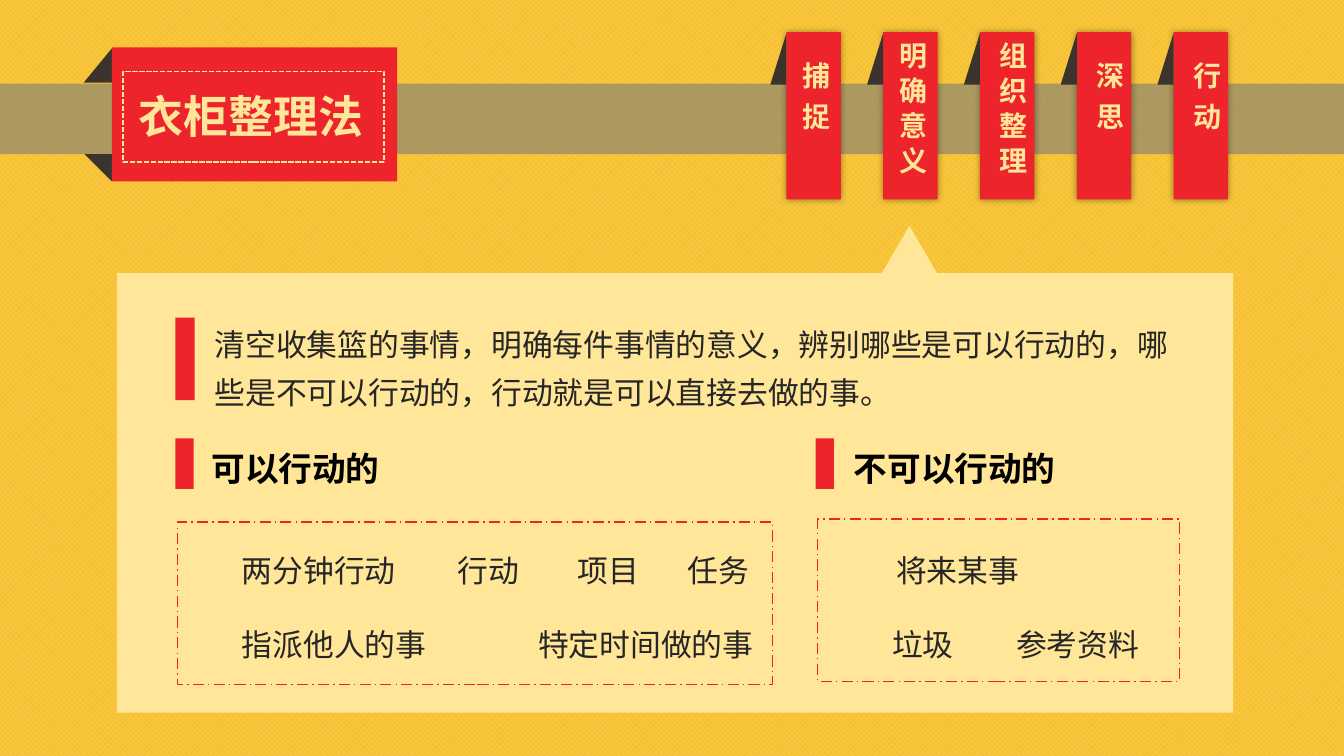
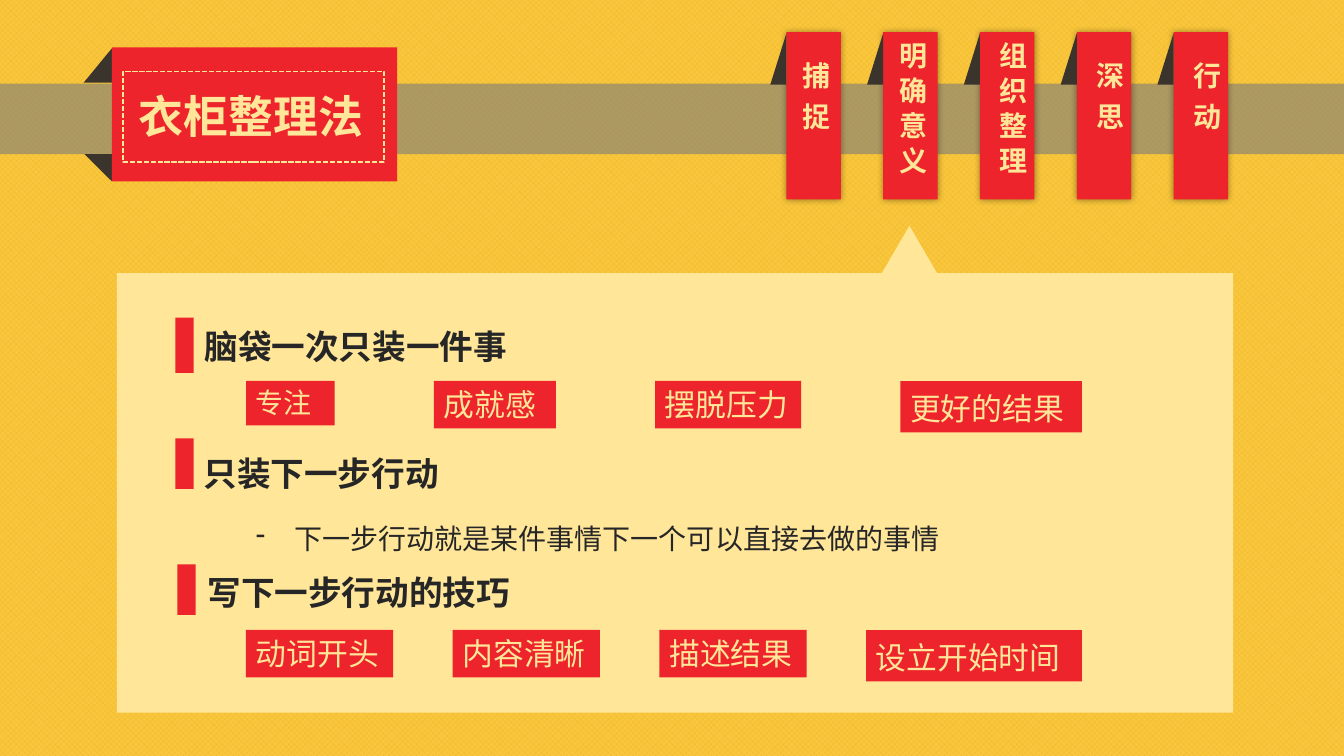
"""Build two slides on the wardrobe method for sorting tasks."""
from lxml.etree import SubElement
from pptx import Presentation
from pptx.dml.color import RGBColor
from pptx.enum.dml import MSO_LINE_DASH_STYLE as Dash, MSO_PATTERN_TYPE as Pattern
from pptx.enum.shapes import MSO_AUTO_SHAPE_TYPE as Shape
from pptx.enum.text import MSO_ANCHOR as Anchor, PP_ALIGN as Align
from pptx.oxml.ns import qn
from pptx.util import Pt

PX = 9144
FONT = "Noto Sans CJK SC"
COLORS = {
    "weave": "F4B61E",
    "ground": "F8C73F",
    "band": "7C7C7C",
    "cream": "FFE699",
    "red": "ED242C",
    "fold": "3B342D",
    "ink": "262626",
    "black": "000000",
}
RIBBONS = [
    ("捕 捉", 19, 250, 1.1),
    ("明 确 意 义", 0, 0, 1.1),
    ("组 织 整 理", 0, 0, None),
    ("深 思", 19, 250, None),
    ("行 动", 19, 250, None),
]


def px(*lengths):
    return [round(length * PX) for length in lengths]


def color(name):
    return RGBColor.from_string(COLORS[name])


def paint(shape, fill):
    shape.shadow.inherit = False
    shape.line.fill.background()
    shape.fill.solid()
    shape.fill.fore_color.rgb = color(fill)
    return shape


def add_block(slide, box, fill, kind=Shape.RECTANGLE):
    return paint(slide.shapes.add_shape(kind, *px(*box)), fill)


def add_frame(slide, box, line, width, dash):
    frame = slide.shapes.add_shape(Shape.RECTANGLE, *px(*box))
    frame.shadow.inherit = False
    frame.fill.background()
    frame.line.color.rgb = color(line)
    frame.line.width = Pt(width)
    frame.line.dash_style = dash


def add_fold(slide, *points):
    start, *others = points
    builder = slide.shapes.build_freeform(*start, scale=PX)
    builder.add_line_segments(others)
    paint(builder.convert_to_shape(), "fold")


def write(shape, text, size, ink, bold=False, spacing=None, bullet=None,
          margin=0, indent=0, tracking=0):
    frame = shape.text_frame
    frame.word_wrap = True
    frame.vertical_anchor = Anchor.TOP
    paragraph = frame.paragraphs[0]
    paragraph.text = text
    paragraph.alignment = Align.LEFT
    if spacing:
        paragraph.line_spacing = spacing
    properties = paragraph._p.get_or_add_pPr()
    properties.set("marL", str(margin * PX))
    properties.set("indent", str(indent * PX))
    if bullet:
        SubElement(properties, qn("a:buChar"), char=bullet)
    font = paragraph.font
    font.name = FONT
    font.size = Pt(size)
    font.bold = bold
    font.color.rgb = color(ink)
    defaults = properties.find(qn("a:defRPr"))
    SubElement(defaults, qn("a:ea"), typeface=FONT)
    if tracking:
        defaults.set("spc", str(tracking))


def add_text(slide, box, text, size=22, ink="ink", **style):
    write(slide.shapes.add_textbox(*px(*box)), text, size, ink, **style)


def add_heading(slide, bar, box, text, ink="ink"):
    add_block(slide, bar, "red")
    add_text(slide, box, text, 24, ink, bold=True)


def add_ribbon(slide, left, text, margin, tracking, spacing):
    ribbon = add_block(slide, (left, 32, 54, 166), "red")
    shadow = SubElement(ribbon._element.spPr.find(qn("a:effectLst")),
                        qn("a:outerShdw"), blurRad=str(Pt(5)), algn="ctr", rotWithShape="0")
    tint = SubElement(shadow, qn("a:srgbClr"), val=COLORS["black"])
    SubElement(tint, qn("a:alpha"), val="40000")
    frame = ribbon.text_frame
    frame.margin_top = frame.margin_bottom = 10 * PX
    frame._txBody.bodyPr.set("vert", "eaVert")
    write(ribbon, text, 20, "cream", bold=True, spacing=spacing,
          margin=margin, tracking=tracking)
    add_fold(slide, (left - 16, 84), (left, 84), (left, 33))


def add_chip_row(slide, top, chips):
    left, right = 244, 1073
    gap = (right - left - sum(chip[1] for chip in chips)) / (len(chips) - 1)
    for text, width, height, size, spacing in chips:
        chip = add_block(slide, (left, top, width, height), "red")
        write(chip, text, size, "cream", spacing=spacing)
        left += width + gap


def add_base_slide(presentation):
    slide = presentation.slides.add_slide(presentation.slide_layouts[6])
    ground = slide.background.fill
    ground.patterned()
    ground.pattern = Pattern.SOLID_DIAMOND
    ground.fore_color.rgb = color("weave")
    ground.back_color.rgb = color("ground")

    band = add_block(slide, (0, 83, 1333, 70), "band")
    tint = band._element.spPr.find(qn("a:solidFill")).find(qn("a:srgbClr"))
    SubElement(tint, qn("a:alpha"), val="60000")
    add_block(slide, (116, 271, 1107, 436), "cream")
    add_block(slide, (874, 224, 56, 48), "cream", Shape.ISOSCELES_TRIANGLE)

    add_fold(slide, (83, 82), (111, 82), (111, 48))
    add_fold(slide, (111, 180), (111, 153), (84, 153))
    add_block(slide, (111, 47, 283, 133), "red")
    add_frame(slide, (122, 71, 259, 90), "cream", 1.25, Dash.SQUARE_DOT)
    add_text(slide, (128, 83, 252, 64), "衣柜整理法", 32, "cream", bold=True)

    for index, ribbon in enumerate(RIBBONS):
        add_ribbon(slide, 780 + 96 * index, *ribbon)
    return slide


def add_meaning_slide(presentation):
    slide = add_base_slide(presentation)
    add_block(slide, (174, 315, 19, 82), "red")
    add_text(slide, (203, 307, 995, 102),
             "清空收集篮的事情，明确每件事情的意义，辨别哪些是可以行动的，"
             "哪些是不可以行动的，行动就是可以直接去做的事。", spacing=1.3)
    add_heading(slide, (174, 435, 18, 50), (200, 439, 202, 50), "可以行动的", "black")
    add_heading(slide, (809, 435, 18, 50), (837, 439, 232, 50), "不可以行动的", "black")
    add_frame(slide, (176, 518, 590, 161), "red", 1, Dash.LONG_DASH_DOT)
    add_frame(slide, (811, 515, 359, 161), "red", 1, Dash.LONG_DASH_DOT)
    rows = {
        531: [(230, 194, "两分钟行动"), (444, 89, "行动"), (563, 89, "项目"),
              (672, 112, "任务"), (879, 159, "将来某事")],
        605: [(230, 242, "指派他人的事"), (524, 246, "特定时间做的事"),
              (875, 102, "垃圾"), (998, 166, "参考资料")],
    }
    for top, labels in rows.items():
        for left, width, text in labels:
            add_text(slide, (left, top, width, 54), text, spacing=1.3)


def add_next_action_slide(presentation):
    slide = add_base_slide(presentation)
    add_heading(slide, (174, 315, 18, 55), (193, 318, 323, 50), "脑袋一次只装一件事")
    add_chip_row(slide, 378, [
        ("专注", 88, 44, 20, None),
        ("成就感", 121, 47, 22, None),
        ("摆脱压力", 145, 47, 22, None),
        ("更好的结果", 180, 51, 22, 1.1),
    ])
    add_heading(slide, (174, 435, 18, 50), (192, 444, 259, 50), "只装下一步行动")
    add_text(slide, (244, 502, 748, 54), "下一步行动就是某件事情下一个可以直接去做的事情",
             20, spacing=1.3, bullet="-", margin=38, indent=-38)
    add_heading(slide, (176, 560, 18, 50), (196, 562, 337, 50), "写下一步行动的技巧")
    add_chip_row(slide, 625, [
        ("动词开头", 146, 47, 22, None),
        ("内容清晰", 146, 47, 22, None),
        ("描述结果", 146, 47, 22, None),
        ("设立开始时间", 214, 51, 22, 1.1),
    ])


def main():
    presentation = Presentation()
    presentation.slide_width, presentation.slide_height = px(1333, 750)
    add_meaning_slide(presentation)
    add_next_action_slide(presentation)
    presentation.save("out.pptx")


if __name__ == "__main__":
    main()
